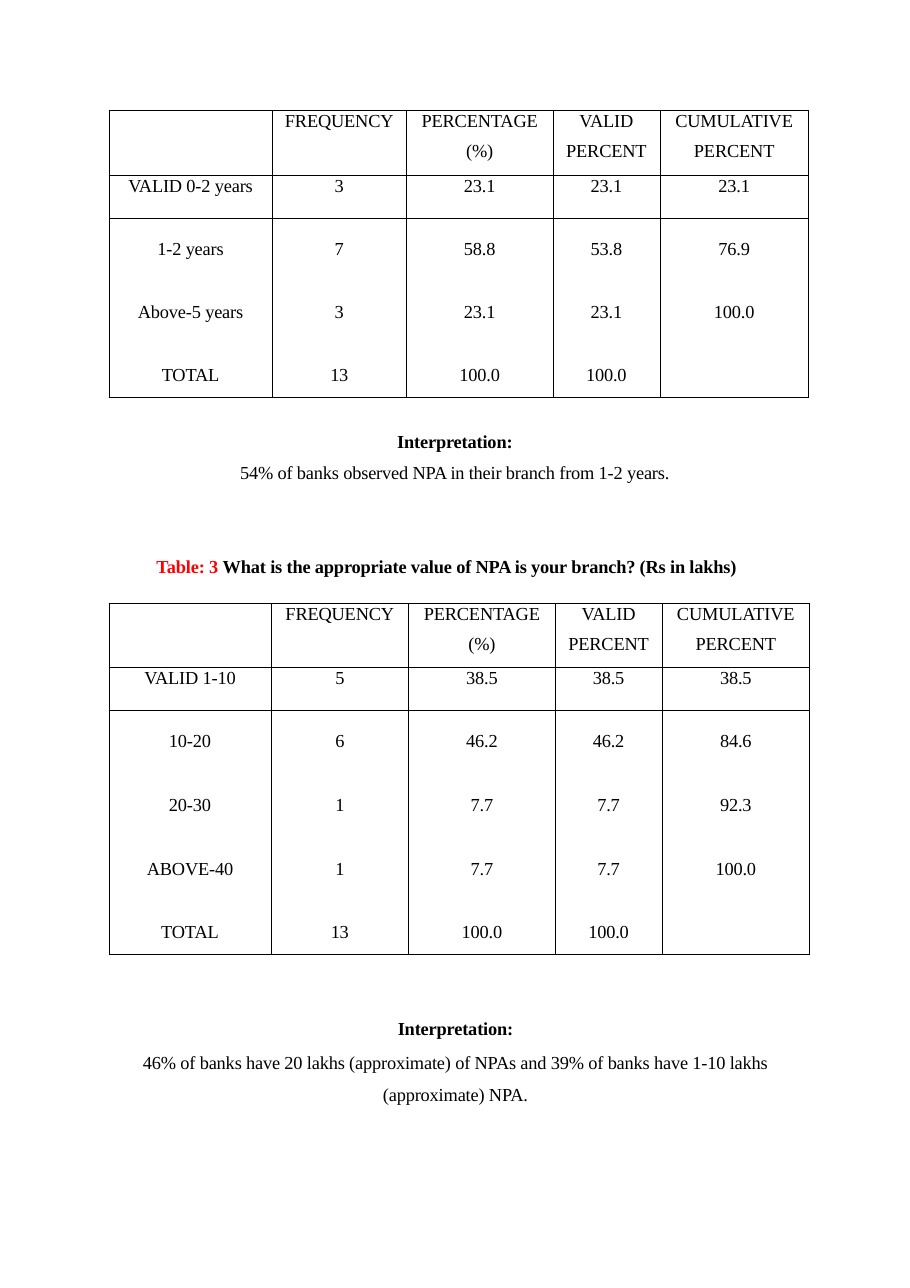
from lxml.etree import SubElement
from pptx import Presentation
from pptx.dml.color import RGBColor
from pptx.enum.text import MSO_ANCHOR, PP_ALIGN
from pptx.oxml.ns import qn
from pptx.util import Inches, Pt

BLACK = RGBColor(0, 0, 0)
RED = RGBColor(255, 0, 0)
NO_STYLE_NO_GRID = "{2D5ABB26-0587-4C30-8999-92F81FD0307C}"
HEADER = ["", "FREQUENCY", "PERCENTAGE\n(%)", "VALID\nPERCENT", "CUMULATIVE\nPERCENT"]


class SurveyPage:
    font_name = "Times New Roman"
    font_size = Pt(12)
    line_width = Pt(0.5)

    def __init__(self, presentation):
        self.slide = presentation.slides.add_slide(presentation.slide_layouts[5])

    def style(self, paragraph, bold=False, align=PP_ALIGN.CENTER):
        paragraph.alignment = align
        font = paragraph.font
        font.name, font.size, font.bold = self.font_name, self.font_size, bold
        font.color.rgb = BLACK

    def add_run(self, paragraph, text):
        run = paragraph.add_run()
        run.text = text
        run.font._element.set("spc", "-10")
        return run

    def prepare_frame(self, frame, top_inset):
        frame.word_wrap = True
        frame.vertical_anchor = MSO_ANCHOR.TOP
        frame.margin_left = frame.margin_right = frame.margin_bottom = 0
        frame.margin_top = Inches(top_inset)

    def heading(self, left, top, width, height, label, question):
        title = self.slide.shapes.title
        title.left, title.top = Inches(left), Inches(top)
        title.width, title.height = Inches(width), Inches(height)
        self.prepare_frame(title.text_frame, 0.02)
        paragraph = title.text_frame.paragraphs[0]
        self.style(paragraph, bold=True, align=PP_ALIGN.LEFT)
        self.add_run(paragraph, label).font.color.rgb = RED
        self.add_run(paragraph, question)

    def interpretation(self, left, top, width, height, finding, space_before, line_spacing=None):
        box = self.slide.shapes.add_textbox(
            Inches(left), Inches(top), Inches(width), Inches(height))
        frame = box.text_frame
        self.prepare_frame(frame, 0.1)
        label = frame.paragraphs[0]
        self.style(label, bold=True)
        self.add_run(label, "Interpretation:")
        body = frame.add_paragraph()
        self.style(body)
        body.space_before = Pt(space_before)
        body.line_spacing = line_spacing
        self.add_run(body, finding)

    def border(self, cell, sides):
        properties = cell._tc.get_or_add_tcPr()
        for side in "LRTB":
            line = SubElement(properties, qn(f"a:ln{side}"), w=str(self.line_width))
            if side in sides:
                fill = SubElement(line, qn("a:solidFill"))
                SubElement(fill, qn("a:srgbClr"), val=str(BLACK))
            else:
                SubElement(line, qn("a:noFill"))

    def fill_cell(self, cell, text, top_inset):
        cell.margin_left = cell.margin_right = cell.margin_bottom = 0
        cell.margin_top = Inches(top_inset)
        cell.vertical_anchor = MSO_ANCHOR.TOP
        for index, line in enumerate(text.split("\n")):
            frame = cell.text_frame
            paragraph = frame.add_paragraph() if index else frame.paragraphs[0]
            self.style(paragraph)
            if index:
                paragraph.space_before = Pt(6.2)
            else:
                paragraph.line_spacing = Pt(13.8)
            if line:
                self.add_run(paragraph, line)

    def frequency_table(self, left, top, widths, heights, answers):
        rows = [HEADER] + answers
        frame = self.slide.shapes.add_table(
            len(rows), len(HEADER), Inches(left), Inches(top),
            Inches(sum(widths)), Inches(sum(heights)))
        table = frame.table
        table.first_row = table.horz_banding = False
        table._tbl.tblPr.find(qn("a:tableStyleId")).text = NO_STYLE_NO_GRID
        for column, width in zip(table.columns, widths):
            column.width = Inches(width)
        for row, height in zip(table.rows, heights):
            row.height = Inches(height)
        last = len(rows) - 1
        for r, values in enumerate(rows):
            # Rules frame the header, the first answer and the table's foot
            sides = "LR" + ("T" if r <= 2 else "") + ("B" if r in (0, 1, last) else "")
            for c, value in enumerate(values):
                cell = table.cell(r, c)
                self.border(cell, sides)
                cell.fill.background()
                self.fill_cell(cell, value, 0.18 if r >= 2 else 0)


def main():
    presentation = Presentation()
    presentation.slide_width, presentation.slide_height = Inches(8.26), Inches(11.69)
    page = SurveyPage(presentation)

    # Years of NPA
    page.frequency_table(
        0.99, 1, [1.48, 1.22, 1.33, 0.97, 1.35], [0.59, 0.39, 0.58, 0.57, 0.48],
        [["VALID 0-2 years", "3", "23.1", "23.1", "23.1"],
         ["1-2 years", "7", "58.8", "53.8", "76.9"],
         ["Above-5 years", "3", "23.1", "23.1", "100.0"],
         ["TOTAL", "13", "100.0", "100.0", ""]])
    page.interpretation(
        2.11, 3.8, 4.04, 0.6, "54% of banks observed NPA in their branch from 1-2 years.", 6)

    # Value of NPA
    page.heading(1.42, 5.02, 5.45, 0.23, "Table: 3 ",
                 "What is the appropriate value of NPA is your branch? (Rs in lakhs)")
    page.frequency_table(
        0.99, 5.48, [1.47, 1.25, 1.33, 0.97, 1.34], [0.58, 0.39, 0.58, 0.58, 0.57, 0.48],
        [["VALID 1-10", "5", "38.5", "38.5", "38.5"],
         ["10-20", "6", "46.2", "46.2", "84.6"],
         ["20-30", "1", "7.7", "7.7", "92.3"],
         ["ABOVE-40", "1", "7.7", "7.7", "100.0"],
         ["TOTAL", "13", "100.0", "100.0", ""]])
    page.interpretation(
        1.21, 9.13, 5.85, 0.88,
        "46% of banks have 20 lakhs (approximate) of NPAs and 39% of banks have 1-10 lakhs "
        "(approximate) NPA.", 1.4, Pt(20.8))

    presentation.save("out.pptx")


if __name__ == "__main__":
    main()
